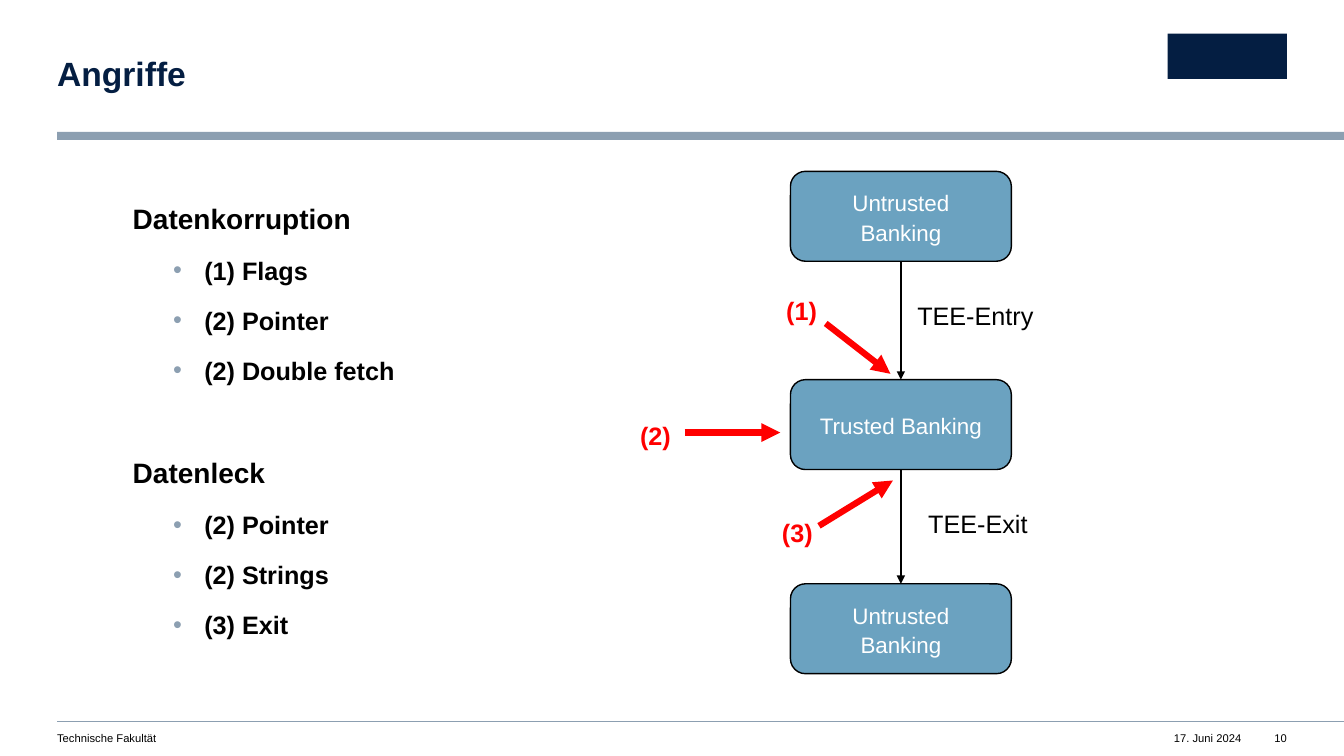
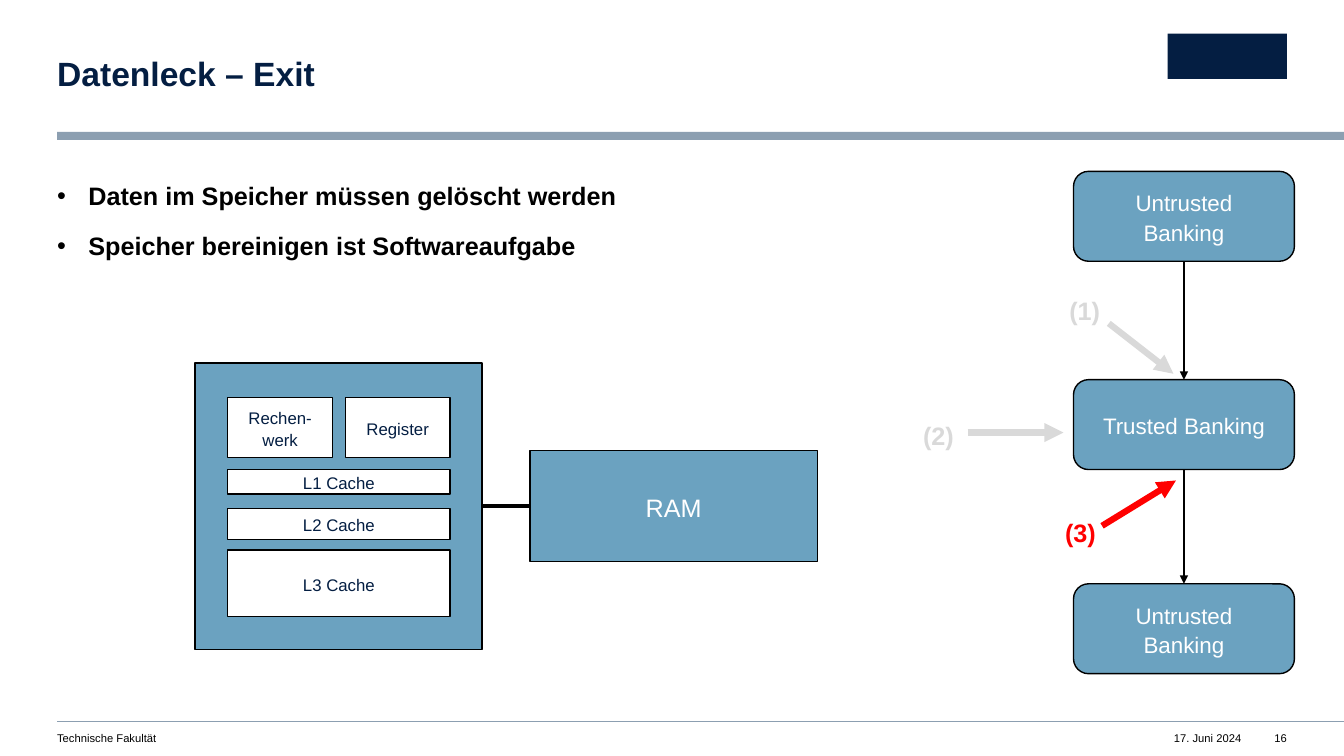
from lxml import etree
from pptx import Presentation
from pptx.dml.color import RGBColor
from pptx.enum.shapes import MSO_CONNECTOR, MSO_SHAPE
from pptx.enum.text import MSO_ANCHOR, PP_ALIGN
from pptx.oxml.ns import qn
from pptx.util import Inches, Pt

RECT, ROUND = MSO_SHAPE.RECTANGLE, MSO_SHAPE.ROUNDED_RECTANGLE
STRAIGHT = MSO_CONNECTOR.STRAIGHT
LEFT, CENTER, RIGHT = PP_ALIGN.LEFT, PP_ALIGN.CENTER, PP_ALIGN.RIGHT
TOP, MIDDLE = MSO_ANCHOR.TOP, MSO_ANCHOR.MIDDLE

# Sides of a box where a line can be joined
NORTH, WEST, SOUTH, EAST = range(4)

# The slide is a grid of 160 columns and 90 rows
COLS, ROWS = 160, 90
WIDE, HIGH = Inches(13.33), Inches(7.5)

FONT = "Arial"
NAVY, STEEL, BLUE = "041E42", "8C9FB1", "6BA2C0"
BLACK, WHITE, RED, GREY = "000000", "FFFFFF", "FF0000", "D9D9D9"

EDGE, END = 6.8, 153.2


def col(n):
    return round(WIDE * n / COLS)


def row(n):
    return round(HIGH * n / ROWS)


def rgb(code):
    return RGBColor.from_string(code)


class Deck:
    def __init__(self):
        self.prs = Presentation()
        self.prs.slide_width, self.prs.slide_height = WIDE, HIGH
        self.slide = None

    def page(self, title, number):
        """Start a slide with its title, bands and footer."""
        self.slide = self.prs.slides.add_slide(self.prs.slide_layouts[6])
        self.box(EDGE, 15.7, COLS - EDGE, 0.95, fill=STEEL, line=None)
        self.line((EDGE, 85.85), (COLS, 85.85), STEEL, 0.75)
        # Plain mark in the place of the logo
        self.box(END - 14.2, 4, 14.2, 5.4, fill=NAVY, line=None)
        self.text(EDGE, 6.8, 90, 4.4, [title], 24, NAVY, True, lead=0.9)
        self.text(EDGE, 87.1, 72, 1.6, ["Technische Fakultät"], 8, lead=1)
        for left, wide, word in ((136.6, 11.2, "17. Juni 2024"),
                                 (150.6, 2.6, number)):
            self.text(left, 87.1, wide, 1.6, [word], 8, lead=1, align=RIGHT)

    def style(self, par, size, color, bold=False, align=LEFT, lead=1.1,
              after=0):
        par.alignment, par.line_spacing = align, lead
        par.space_after = Pt(after)
        font = par.font
        font.name, font.size, font.bold = FONT, Pt(size), bold
        font.color.rgb = rgb(color)

    def bullet(self, par, indent, color):
        """Hang a bullet in front of the paragraph."""
        props = par._p.get_or_add_pPr()
        props.set("marL", str(Inches(indent)))
        props.set("indent", str(-Inches(0.31)))
        tint = etree.Element(qn("a:buClr"))
        etree.SubElement(tint, qn("a:srgbClr")).set("val", color)
        face = etree.Element(qn("a:buFont"))
        face.set("typeface", FONT)
        mark = etree.Element(qn("a:buChar"))
        mark.set("char", "•")
        spot = props.find(qn("a:defRPr"))
        for part in (tint, face, mark):
            spot.addprevious(part)

    def frame(self, shape, side, edge, anchor):
        frame = shape.text_frame
        frame.word_wrap, frame.vertical_anchor = True, anchor
        frame.margin_left = frame.margin_right = col(side)
        frame.margin_top = frame.margin_bottom = row(edge)
        return frame

    def text(self, x, y, w, h, lines, size, color=BLACK, bold=False, **look):
        """Add a text box; return its paragraphs."""
        shape = self.slide.shapes.add_textbox(col(x), row(y), col(w), row(h))
        frame = self.frame(shape, 0, 0, TOP)
        frame.text = "\n".join(lines)
        for par in frame.paragraphs:
            self.style(par, size, color, bold, **look)
        return frame.paragraphs

    def box(self, x, y, w, h, word="", size=12, color=NAVY, fill=WHITE,
            line=BLACK, kind=RECT, pad=(1.2, 0.6), **look):
        shape = self.slide.shapes.add_shape(kind, col(x), row(y), col(w),
                                            row(h))
        shape.shadow.inherit = False
        shape.fill.solid()
        shape.fill.fore_color.rgb = rgb(fill)
        if line:
            shape.line.color.rgb, shape.line.width = rgb(line), Pt(1)
        else:
            shape.line.fill.background()
        if word:
            frame = self.frame(shape, *pad, MIDDLE)
            frame.text = word
            self.style(frame.paragraphs[0], size, color, align=CENTER, **look)
        return shape

    def line(self, start, end, color=BLACK, width=1, head=False):
        (x1, y1), (x2, y2) = start, end
        line = self.slide.shapes.add_connector(
            STRAIGHT, col(x1), row(y1), col(x2), row(y2))
        line.line.color.rgb, line.line.width = rgb(color), Pt(width)
        if head:
            tip = etree.SubElement(line.line._get_or_add_ln(),
                                   qn("a:tailEnd"))
            tip.set("type", "triangle")
        etree.SubElement(line._element.spPr, qn("a:effectLst"))
        return line

    def join(self, first, out, last, into, **look):
        """Link the sides of two boxes."""
        line = self.line((0, 0), (1, 1), **look)
        line.begin_connect(first, out)
        line.end_connect(last, into)

    def flow(self, x, colors):
        """Draw the call chain at column x with its three attack arrows."""
        chain = [self.box(x, y, 26.3, 10.7, word + " Banking", 16, WHITE,
                          BLUE, kind=ROUND, pad=(2.4, 2.4), lead=1.1,
                          after=12)
                 for y, word in ((20.4, "Untrusted"), (45.2, "Trusted"),
                                 (69.5, "Untrusted"))]
        for upper, lower in zip(chain, chain[1:]):
            self.join(upper, SOUTH, lower, NORTH, head=True)
        # Offsets from x: label, arrow start, arrow end
        spots = (((-0.5, 34.8), (4.2, 38.5), (11.9, 44.5)),
                 ((-17.9, 49.7), (-12.6, 51.5), (-1.2, 51.5)),
                 ((-1, 61.2), (3.4, 62.6), (12.2, 57.2)))
        for n, (spot, color) in enumerate(zip(spots, colors), 1):
            (lx, ly), start, end = [(x + dx, y) for dx, y in spot]
            self.line(start, end, color, 4.5, head=True)
            self.text(lx, ly, 5.3, 3.7, [f"({n})"], 18, color, True)


def attacks(deck):
    deck.page("Angriffe", "10")
    # Kinds of attack
    heads = ("Datenkorruption", "Datenleck")
    lines = [heads[0], "(1) Flags", "(2) Pointer", "(2) Double fetch",
             heads[1], "(2) Pointer", "(2) Strings", "(3) Exit"]
    pars = deck.text(15.8, 23.6, 62.4, 60, lines, 18, bold=True, after=12)
    for par in pars:
        if par.text in heads:
            par.font.size = Pt(20)
        else:
            deck.bullet(par, 0.71, STEEL)
    pars[4].space_before = Pt(36)
    # Call chain
    left = 94.1
    deck.flow(left, (RED, RED, RED))
    for dx, y, word in ((15.1, 35.4, "TEE-Entry"), (16.4, 60.2, "TEE-Exit")):
        deck.text(left + dx, y, 19.7, 3.7, [word], 18)


def leak(deck):
    deck.page("Datenleck – Exit", "16")
    lines = ["Daten im Speicher müssen gelöscht werden",
             "Speicher bereinigen ist Softwareaufgabe"]
    for par in deck.text(EDGE, 21.1, 100, 12, lines, 18, bold=True, after=12):
        deck.bullet(par, 0.31, BLACK)
    deck.flow(127.8, (GREY, GREY, RED))
    # Processor and memory
    chip = deck.box(23.2, 43.2, 34.2, 34.1, fill=BLUE)
    left, wide, half = 27.1, 26.5, 12.5
    deck.box(left, 47.3, half, 7.2, "Rechen- werk")
    deck.box(left + wide - half, 47.3, half, 7.2, "Register")
    for n, (y, high) in enumerate(((55.9, 2.9), (60.5, 3.7), (65.5, 7.9)), 1):
        deck.box(left, y, wide, high, f"L{n} Cache")
    ram = deck.box(63.1, 53.65, 34.2, 13.2, "RAM", 18, WHITE, BLUE)
    deck.join(chip, EAST, ram, WEST, width=2.25)


def main():
    deck = Deck()
    attacks(deck)
    leak(deck)
    deck.prs.save("out.pptx")


if __name__ == "__main__":
    main()
